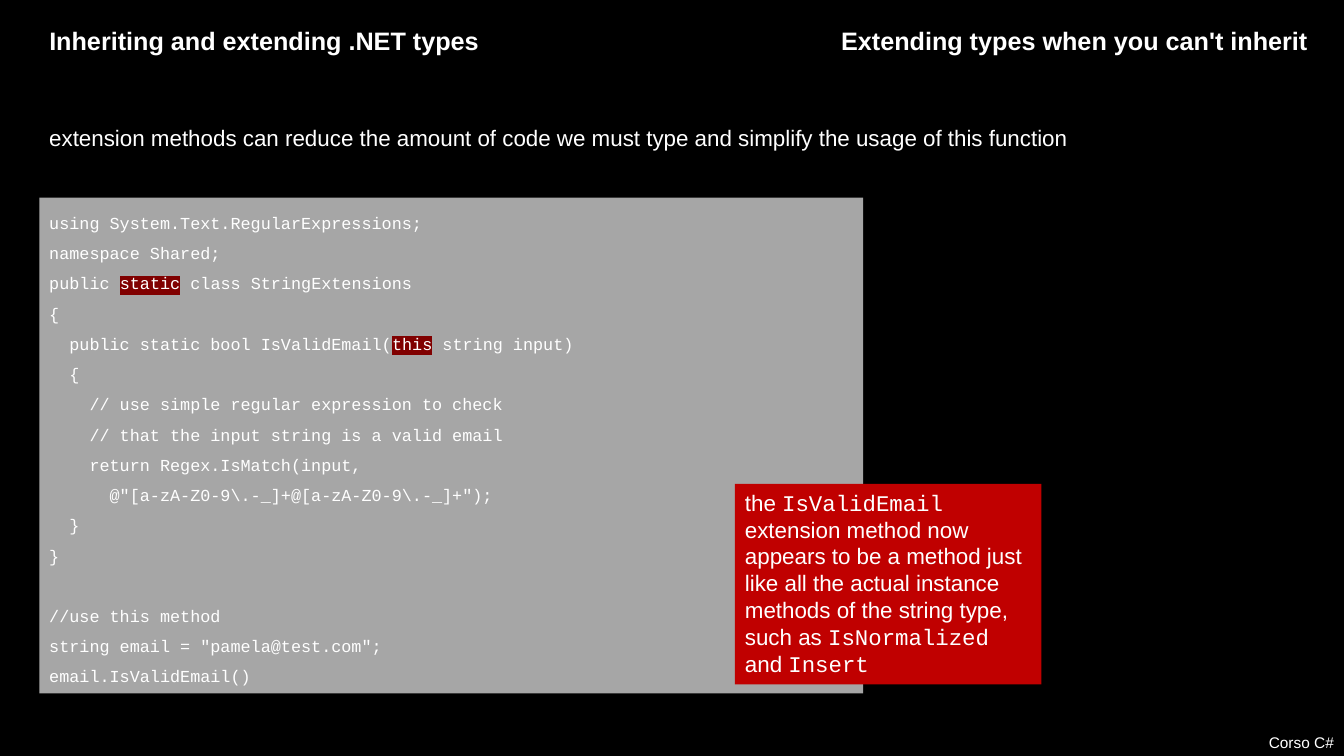
from lxml.etree import SubElement
from pptx import Presentation
from pptx.dml.color import RGBColor
from pptx.enum.shapes import MSO_SHAPE as Shape
from pptx.enum.text import MSO_ANCHOR as Anchor, MSO_AUTO_SIZE as Fit, PP_ALIGN as Align
from pptx.oxml.ns import qn
from pptx.util import Inches, Pt

CODE = r'''using System.Text.RegularExpressions;
namespace Shared;
public |static| class StringExtensions
{
  public static bool IsValidEmail(|this| string input)
  {
    // use simple regular expression to check
    // that the input string is a valid email
    return Regex.IsMatch(input,
      @"[a-zA-Z0-9\.-_]+@[a-zA-Z0-9\.-_]+");
  }
}
//use this method
string email = "pamela@test.com";
email.IsValidEmail()'''


def color(text):
    return RGBColor.from_string(text)


def write(text, left, top, width, height, size=16, font="Arial", bold=False,
          align=Align.LEFT, line=None, wrap=True, fill=None, alt=None, mark=None):
    """Add a text box, or a filled box; parts between bars take the alt font or the mark."""
    place = [Inches(n) for n in (left, top, width, height)]
    if fill:
        box = slide.shapes.add_shape(Shape.RECTANGLE, *place)
        box.shadow.inherit = False
        box.fill.solid()
        box.fill.fore_color.rgb = color(fill)
        box.line.fill.background()
    else:
        box = slide.shapes.add_textbox(*place)
    frame = box.text_frame
    frame.word_wrap = wrap
    frame.auto_size = Fit.SHAPE_TO_FIT_TEXT
    frame.vertical_anchor = Anchor.TOP
    for i, row in enumerate(text.split("\n")):
        para = frame.add_paragraph() if i else frame.paragraphs[0]
        para.alignment = align
        if line:
            para.line_spacing = line
        for j, part in enumerate(row.split("|")):
            run = para.add_run()
            run.text = part
            run.font.size = Pt(size)
            run.font.bold = bold
            run.font.color.rgb = color("FFFFFF")
            if j % 2 and mark:
                light = SubElement(run.font._element, qn("a:highlight"))
                SubElement(light, qn("a:srgbClr"), val=mark)
            run.font.name = alt if j % 2 and alt else font
    return frame


deck = Presentation()
deck.slide_width, deck.slide_height = Inches(13.33), Inches(7.5)
slide = deck.slides.add_slide(deck.slide_layouts[6])
slide.background.fill.solid()
slide.background.fill.fore_color.rgb = color("000000")

write("Corso C#", 0, 7.22, 13.33, 0.29, size=11, align=Align.RIGHT)
write("Inheriting and extending .NET types", 0.39, 0.2, 4.51, 0.4,
      size=18, bold=True, wrap=False)
write("Extending types when you can't inherit", 6.61, 0.2, 6.46, 0.4,
      size=18, bold=True, align=Align.RIGHT)
write("extension methods can reduce the amount of code we must type "
      "and simplify the usage of this function", 0.39, 1.05, 12.67, 0.45, line=1.5)

code = write(CODE, 0.39, 1.96, 8.17, 4.92, size=12, font="Courier New",
             line=1.5, fill="A6A6A6", mark="800000")
for para in code.paragraphs:
    if para.text.startswith("//use"):
        para.space_before = Pt(21.6)

write("the |IsValidEmail| extension method now appears to be a method just like all "
      "the actual instance methods of the string type, such as |IsNormalized| and |Insert",
      7.29, 4.8, 3.04, 1.99, fill="C00000", alt="Courier New")

deck.save("out.pptx")
